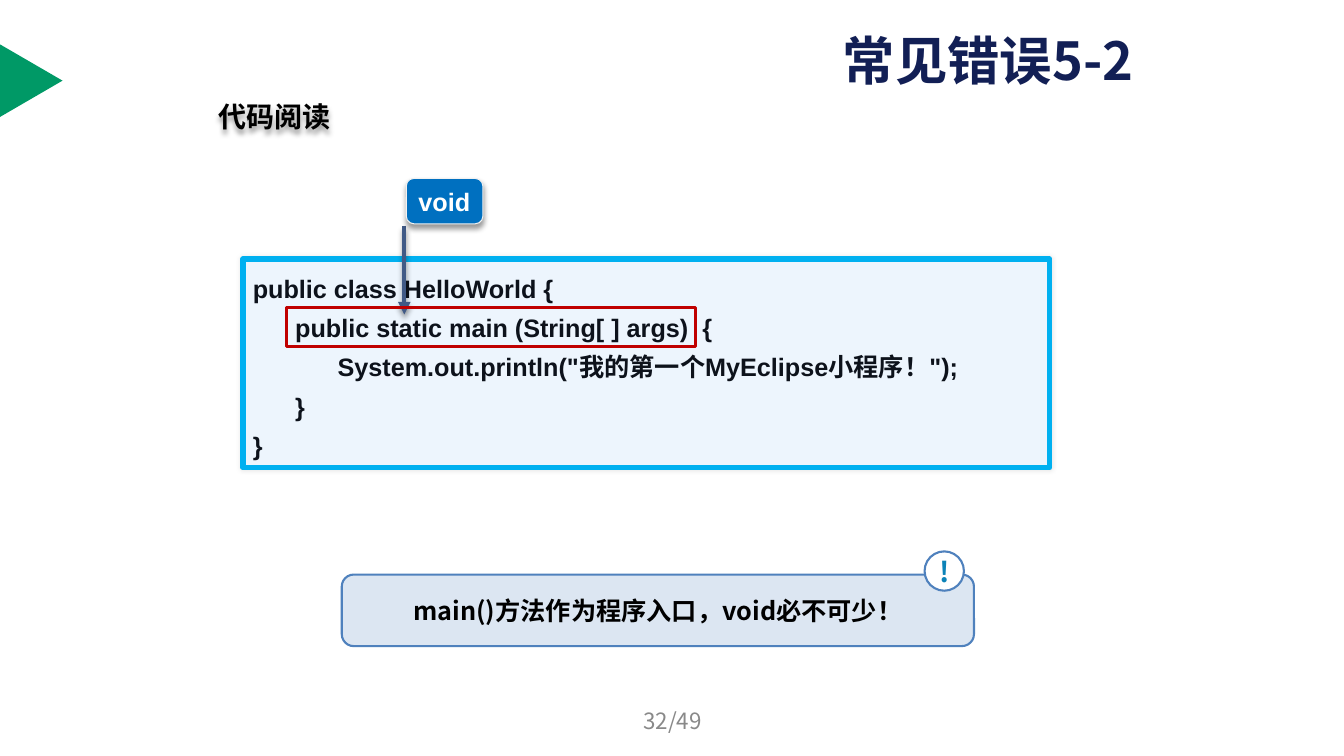
from lxml import etree
from pptx import Presentation
from pptx import util as u
from pptx.dml.color import RGBColor
from pptx.enum import shapes, text
from pptx.oxml.ns import qn

SANS, CJK = "Arial", "Noto Sans CJK SC"
BLACK = RGBColor(0x00, 0x00, 0x00)
WHITE = RGBColor(0xFF, 0xFF, 0xFF)
GREEN = RGBColor(0x00, 0x99, 0x66)
NAVY = RGBColor(0x12, 0x1F, 0x55)
CODE_FILL = RGBColor(0xED, 0xF5, 0xFD)
CODE_EDGE = RGBColor(0x00, 0xB0, 0xF0)
CODE_INK = RGBColor(0x0D, 0x12, 0x1B)
ARROW = RGBColor(0x41, 0x5A, 0x86)
TAG_FILL = RGBColor(0x00, 0x70, 0xC0)
TAG_EDGE = RGBColor(0xF2, 0xF2, 0xF2)
RED = RGBColor(0xC0, 0x00, 0x00)
NOTE_FILL = RGBColor(0xDC, 0xE6, 0xF2)
NOTE_EDGE = RGBColor(0x4F, 0x81, 0xBD)
MARK_INK = RGBColor(0x0C, 0x83, 0xB8)
GRAY = RGBColor(0x89, 0x89, 0x89)

SHAPE = shapes.MSO_SHAPE
LEFT, CENTER = text.PP_ALIGN.LEFT, text.PP_ALIGN.CENTER
TOP, MIDDLE = text.MSO_ANCHOR.TOP, text.MSO_ANCHOR.MIDDLE
SOFT, DROP = (10, 3, 0, 0), (40, 4, 3, 90)
TAB_STEP = 0.42

CODE = [
    "public class HelloWorld {",
    "\tpublic static main (String[ ] args)  {",
    "\t\tSystem.out.println(\"我的第一个MyEclipse小程序！\");",
    "\t}",
    "}",
]


def add_shadow(sp, alpha, blur, dist, angle):
    spPr = sp._element.spPr
    effects = spPr.find(qn("a:effectLst"))
    if effects is None:
        effects = etree.SubElement(spPr, qn("a:effectLst"))
    outer = etree.SubElement(effects, qn("a:outerShdw"), blurRad=str(u.Pt(blur)),
                             dist=str(u.Pt(dist)), dir=str(angle * 60000), rotWithShape="0")
    color = etree.SubElement(outer, qn("a:srgbClr"), val=str(BLACK))
    etree.SubElement(color, qn("a:alpha"), val=str(alpha * 1000))


def add_box(parent, kind, at, fill=None, line=None, adj=None, shadow=None):
    sp = parent.add_shape(kind, *map(u.Inches, at))
    sp.shadow.inherit = False
    if adj is not None:
        sp.adjustments[0] = adj
    if fill is None:
        sp.fill.background()
    else:
        sp.fill.solid()
        sp.fill.fore_color.rgb = fill
    if line is None:
        sp.line.fill.background()
    else:
        sp.line.color.rgb, sp.line.width = line[0], u.Pt(line[1])
    if shadow:
        add_shadow(sp, *shadow)
    return sp


def add_tabs(p, count):
    tabs = etree.SubElement(p._p.get_or_add_pPr(), qn("a:tabLst"))
    for i in range(1, count + 1):
        etree.SubElement(tabs, qn("a:tab"), pos=str(u.Inches(TAB_STEP * i)), algn="l")


def write(sp, lines, size, color, font=CJK, bold=True, align=CENTER,
          anchor=MIDDLE, wrap=True, spacing=None, tabs=0):
    tf = sp.text_frame
    for name, value in {"word_wrap": wrap, "vertical_anchor": anchor}.items():
        setattr(tf, name, value)
    for i, line in enumerate(lines):
        p = tf.add_paragraph() if i else tf.paragraphs[0]
        if tabs:
            add_tabs(p, tabs)
        for name, value in {"alignment": align, "line_spacing": spacing}.items():
            setattr(p, name, value)
        r = p.add_run()
        r.text = line
        for name, value in {"name": font, "size": u.Pt(size), "bold": bold}.items():
            setattr(r.font, name, value)
        r.font.color.rgb = color
        etree.SubElement(r._r.get_or_add_rPr(), qn("a:ea"), typeface=CJK)


def add_text(parent, at, line, size, color, **fmt):
    sp = parent.add_textbox(*map(u.Inches, at))
    write(sp, [line], size, color, **fmt)
    return sp


def add_arrow(parent, x, top, bottom):
    sp = parent.add_connector(shapes.MSO_CONNECTOR.STRAIGHT,
                              *map(u.Inches, (x, top, x, bottom)))
    sp.line.color.rgb, sp.line.width = ARROW, u.Pt(3)
    etree.SubElement(sp.line._get_or_add_ln(), qn("a:tailEnd"), type="triangle")
    add_shadow(sp, *DROP)


def add_note(parent, line):
    group = parent.add_group_shape().shapes
    edge = (NOTE_EDGE, 1.5)
    note = add_box(group, SHAPE.ROUNDED_RECTANGLE, (3.39, 5.7, 6.27, 0.71),
                   NOTE_FILL, edge, 0.167)
    write(note, [line], 18, BLACK)
    mark = add_box(group, SHAPE.OVAL, (9.17, 5.47, 0.39, 0.39), WHITE, edge)
    write(mark, ["!"], 20, MARK_INK, wrap=False)


def main():
    prs = Presentation()
    prs.slide_width, prs.slide_height = u.Inches(13.33), u.Inches(7.5)
    s = prs.slides.add_slide(prs.slide_layouts[6]).shapes

    add_box(s, SHAPE.ISOSCELES_TRIANGLE, (-0.05, 0.49, 0.72, 0.62), GREEN).rotation = 90
    code = add_box(s, SHAPE.ROUNDED_RECTANGLE, (2.41, 2.57, 8, 2.07),
                   CODE_FILL, (CODE_EDGE, 4), 0, SOFT)
    write(code, CODE, 18, CODE_INK, font=SANS, align=LEFT, anchor=TOP, spacing=1.3, tabs=2)
    add_arrow(s, 4.01, 2.24, 3.12)
    tag = add_box(s, SHAPE.ROUNDED_RECTANGLE, (4.03, 1.77, 0.76, 0.45),
                  TAG_FILL, (TAG_EDGE, 0.75), 0.167, DROP)
    write(tag, ["void"], 18, WHITE, font=SANS, align=LEFT, wrap=False)

    add_text(s, (8.26, 0.31, 3.21, 0.57), "常见错误5-2", 37.4, NAVY, align=LEFT, wrap=False)
    heading = add_text(s, (2.06, 0.94, 1.32, 0.44), "代码阅读", 20, BLACK,
                       anchor=TOP, wrap=False)
    heading.fill.background()
    add_shadow(heading, *DROP)
    add_box(s, SHAPE.RECTANGLE, (2.84, 3.05, 4.06, 0.39), line=(RED, 2))
    add_note(s, "main()方法作为程序入口，void必不可少！")
    add_text(s, (4.56, 6.95, 4.22, 0.4), "32/49", 16, GRAY, bold=False)

    prs.save("out.pptx")


if __name__ == "__main__":
    main()
